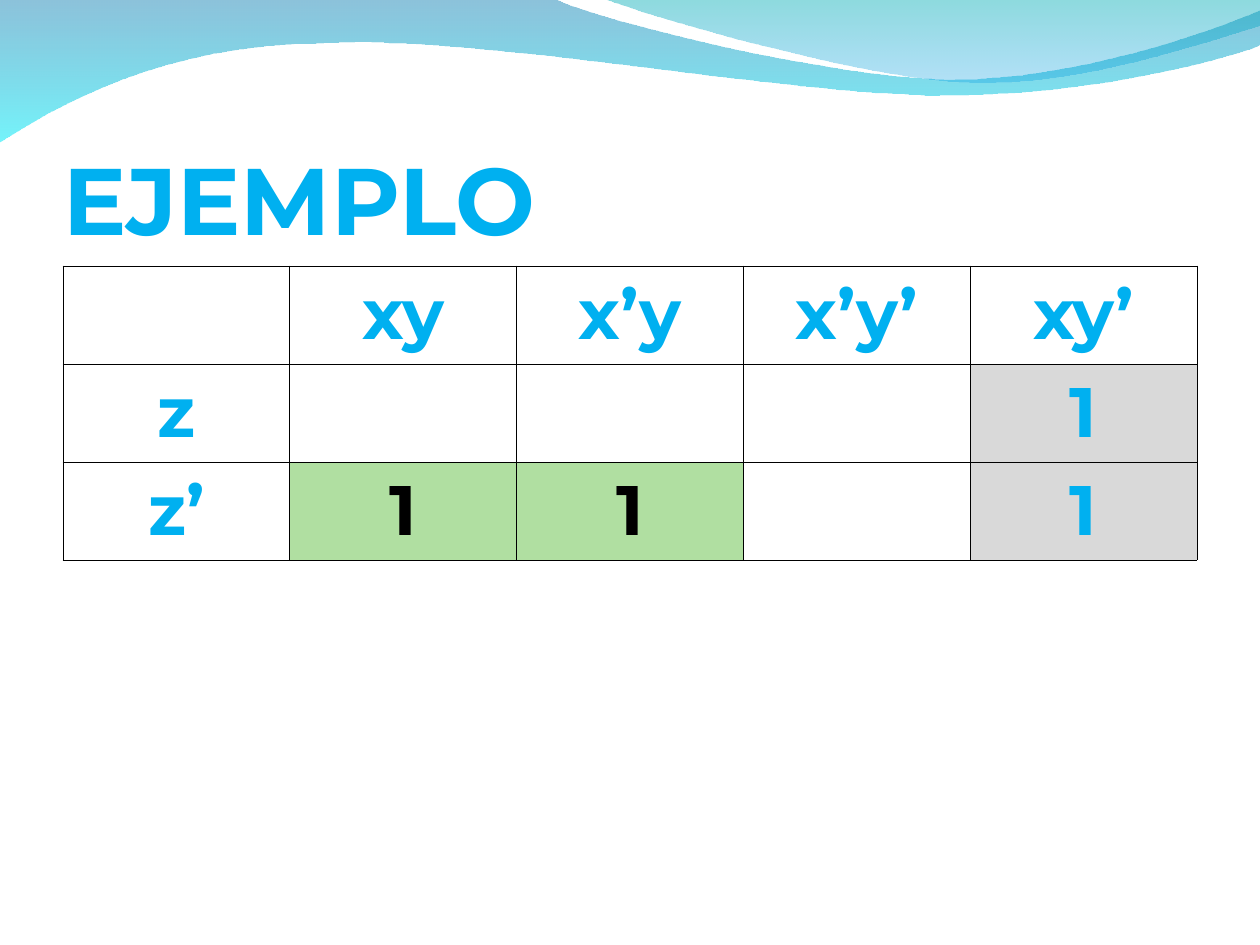
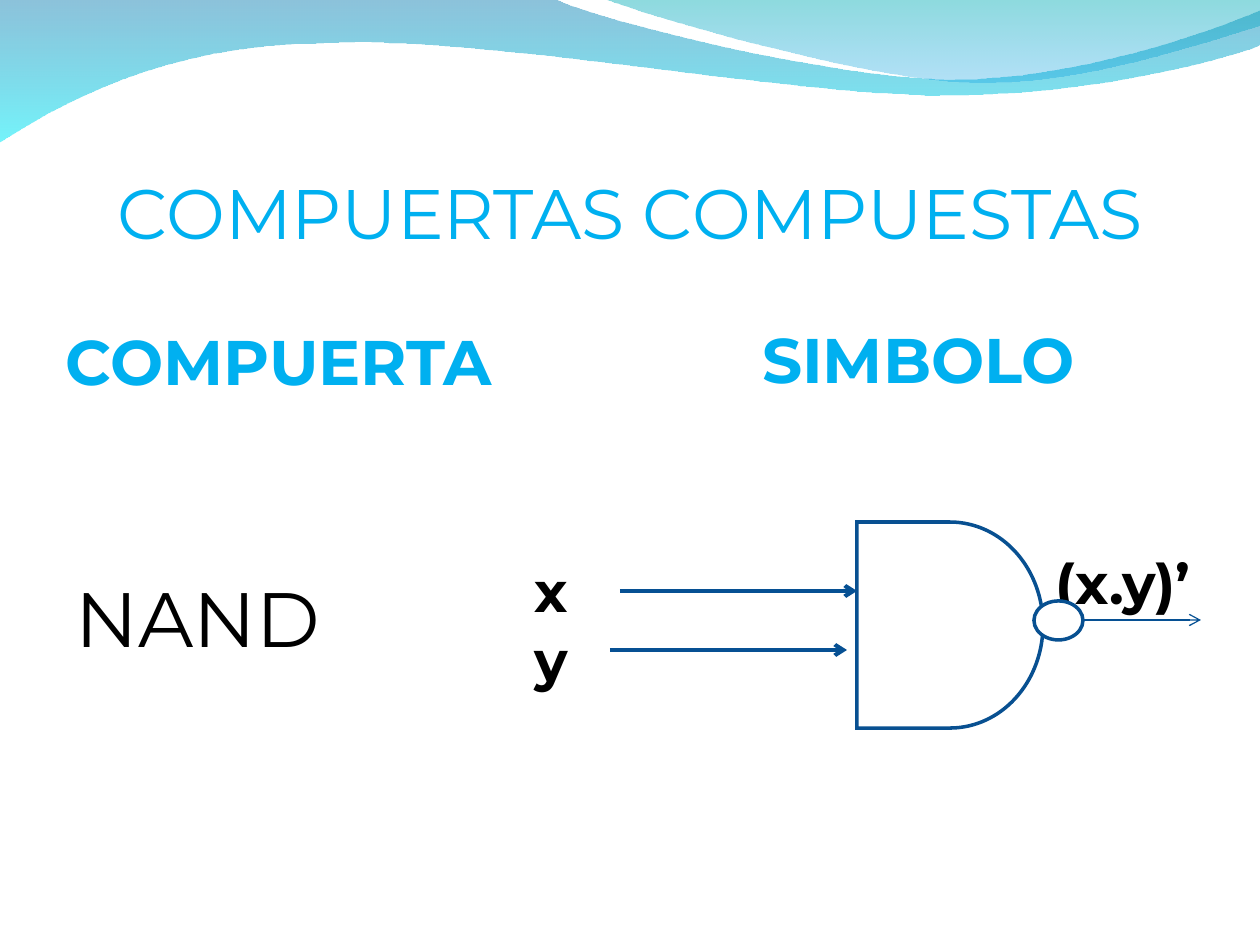
from collections import namedtuple

from lxml import etree
from pptx import Presentation
from pptx.dml.color import RGBColor
from pptx.enum.shapes import MSO_CONNECTOR, MSO_SHAPE
from pptx.enum.text import MSO_ANCHOR as Anchor, MSO_AUTO_SIZE, PP_ALIGN as Align
from pptx.oxml.ns import qn
from pptx.util import Emu, Pt

EMU_PER_PX = 914400 / 126
FONT = "Montserrat"
SKY = RGBColor(0x00, 0xB0, 0xF0)
BLACK = RGBColor(0x00, 0x00, 0x00)
WHITE = RGBColor(0xFF, 0xFF, 0xFF)
GRAY = RGBColor(0xD9, 0xD9, 0xD9)
GREEN = RGBColor(0xB0, 0xDF, 0xA1)
WIRE_BLUE = RGBColor(0x06, 0x50, 0x93)
GATE_BLUE = RGBColor(0x08, 0x50, 0x91)
WAVE_BLUE = RGBColor(0x00, 0x79, 0xAF)
WAVE_CYAN = RGBColor(0x00, 0xEB, 0xF8)
WAVE_TEAL = RGBColor(0x00, 0xAD, 0xB6)
WAVE_SKY = RGBColor(0x00, 0x9B, 0xE5)

Box = namedtuple("Box", "left top width height")
TITLE_BOX = Box(63, 97, 1134, 157)
TITLE_MARGINS = (0, 6, 0, 0)
HEADING_MARGINS = (6, 0, 6, 0)
LABEL_MARGINS = (13, 6, 13, 6)

WAVES = [
    (
        [
            [(0, -1)], [(554, -1)],
            [(600, 21), (837, 79), (955, 79)],
            [(1075, 79), (1207, 33), (1260, 11)],
            [(1261, 45)],
            [(1239, 55), (1096, 96), (940, 95)],
            [(784, 95), (481, 35), (324, 43)],
            [(163, 44), (58, 105), (-1, 142)],
        ],
        [(WAVE_BLUE, 45), (WAVE_CYAN, 55)],
    ),
    (
        [
            [(604, -1)],
            [(641, 14), (859, 78), (969, 82)],
            [(1079, 87), (1211, 40), (1260, 26)],
            [(1260, 0)],
        ],
        [(WAVE_TEAL, 45), (WAVE_SKY, 30)],
    ),
]


def px(length):
    return Emu(round(length * EMU_PER_PX))


def place(shape, box):
    shape.left, shape.top, shape.width, shape.height = map(px, box)


def write(frame, text, size=32, color=BLACK, bold=False, align=Align.LEFT,
          anchor=Anchor.TOP, margins=LABEL_MARGINS):
    frame.word_wrap = True
    frame.auto_size = MSO_AUTO_SIZE.NONE
    frame.vertical_anchor = anchor
    (frame.margin_left, frame.margin_top,
     frame.margin_right, frame.margin_bottom) = map(px, margins)
    format_paragraph(frame.paragraphs[0], text, size, color, bold, align)


def format_paragraph(paragraph, text, size, color, bold, align):
    paragraph.alignment = align
    paragraph.space_before = Pt(0)
    run = paragraph.add_run()
    run.text = text
    run.font.name = FONT
    run.font.size = Pt(size)
    run.font.bold = bold
    run.font.color.rgb = color


def build_curved_outline(slide, segments):
    start, *rest = [(px(x), px(y)) for segment in segments for x, y in segment]
    builder = slide.shapes.build_freeform(*start)
    builder.add_line_segments(rest, close=True)
    shape = builder.convert_to_shape()
    lines = iter(list(shape.element.iter(qn("a:lnTo"))))
    for segment in segments[1:]:
        first, *others = [next(lines) for _ in segment]
        if others:
            first.tag = qn("a:cubicBezTo")
        for line in others:
            first.append(line[0])
            line.getparent().remove(line)
    return shape


def add_waves(master, slide):
    for index, (segments, stops) in enumerate(WAVES):
        wave = build_curved_outline(slide, segments)
        wave.name = f"Wave {index + 1}"
        wave.shadow.inherit = False
        wave.line.fill.background()
        wave.fill.gradient()
        wave.fill.gradient_angle = 270
        for stop, element, (color, opacity) in zip(
                wave.fill.gradient_stops, wave.element.iter(qn("a:gs")), stops):
            stop.color.rgb = color
            etree.SubElement(element[0], qn("a:alpha"), val=str(opacity * 1000))
        wave.element.nvSpPr.cNvPr.set("id", str(20 + index))
        master.shapes.element.insert(2 + index, wave.element)


def add_title(slide, text, **style):
    title = slide.shapes.title
    place(title, TITLE_BOX)
    write(title.text_frame, text, color=SKY, anchor=Anchor.BOTTOM,
          margins=TITLE_MARGINS, **style)


def add_borders(cell):
    properties = cell._tc.get_or_add_tcPr()
    for side in ("lnL", "lnR", "lnT", "lnB"):
        line = etree.SubElement(properties, qn(f"a:{side}"), w="5715")
        fill = etree.SubElement(line, qn("a:solidFill"))
        etree.SubElement(fill, qn("a:srgbClr"), val=str(BLACK))


def add_karnaugh_map(slide, box):
    rows = [
        ["", "xy", "x’y", "x’y’", "xy’"],
        ["z", "", "", "", "1"],
        ["z’", "1", "1", "", "1"],
    ]
    groups = {(1, 4): GRAY, (2, 4): GRAY, (2, 1): GREEN, (2, 2): GREEN}
    table = slide.shapes.add_table(len(rows), len(rows[0]), *map(px, box)).table
    table.first_row = table.horz_banding = False
    for r, row in enumerate(rows):
        for c, text in enumerate(row):
            cell = table.cell(r, c)
            add_borders(cell)
            group = groups.get((r, c))
            if group:
                cell.fill.solid()
                cell.fill.fore_color.rgb = group
            else:
                cell.fill.background()
            if text:
                color = BLACK if group == GREEN else SKY
                format_paragraph(cell.text_frame.paragraphs[0], text, 40,
                                 color, True, Align.CENTER)


def add_arrow(slide, left, right, y, width):
    arrow = slide.shapes.add_connector(
        MSO_CONNECTOR.STRAIGHT, px(left), px(y), px(right), px(y))
    arrow.line.color.rgb = WIRE_BLUE
    arrow.line.width = Pt(width)
    etree.SubElement(arrow.line._get_or_add_ln(), qn("a:tailEnd"), type="arrow")
    etree.SubElement(arrow.element.spPr, qn("a:effectLst"))


def add_gate_part(slide, kind, box):
    part = slide.shapes.add_shape(kind, *map(px, box))
    part.shadow.inherit = False
    part.fill.solid()
    part.fill.fore_color.rgb = WHITE
    part.line.color.rgb = GATE_BLUE
    part.line.width = Pt(2)
    etree.SubElement(part.line._get_or_add_ln(), qn("a:miter"), lim="800000")


def add_nand_symbol(slide, left, top):
    wires = [(98, 335, 69, 2.25), (88, 325, 128, 2.25), (511, 679, 98, 0.75)]
    for start, end, y, width in wires:
        add_arrow(slide, left + start, left + end, top + y, width)
    labels = [("x", -1, 29, 168), ("y", -1, 98, 168), ("(x.y)’", 521, 20, 217)]
    for text, x, y, width in labels:
        box = Box(left + x, top + y, width, 81)
        label = slide.shapes.add_textbox(*map(px, box))
        write(label.text_frame, text, bold=True)
    add_gate_part(slide, MSO_SHAPE.FLOWCHART_DELAY,
                  Box(left + 335, top, 186, 206))
    add_gate_part(slide, MSO_SHAPE.FLOWCHART_CONNECTOR,
                  Box(left + 512, top + 79, 49, 39))


def add_heading(placeholder, text, box):
    place(placeholder, box)
    write(placeholder.text_frame, text, size=36, color=SKY, bold=True,
          align=Align.CENTER, anchor=Anchor.MIDDLE, margins=HEADING_MARGINS)


def add_gate_name(placeholder, text, box):
    place(placeholder, box)
    write(placeholder.text_frame, text, size=44, margins=(13, 224, 13, 6))
    properties = placeholder.text_frame.paragraphs[0]._p.get_or_add_pPr()
    properties.set("marL", "0")
    properties.set("indent", "0")
    etree.SubElement(properties, qn("a:buNone"))


def build_example_slide(presentation):
    slide = presentation.slides.add_slide(presentation.slide_layouts[5])
    add_title(slide, "EJEMPLO", size=54, bold=True)
    add_karnaugh_map(slide, Box(63, 266, 1134, 294))
    return slide


def build_gate_slide(presentation):
    slide = presentation.slides.add_slide(presentation.slide_layouts[4])
    add_title(slide, "COMPUERTAS COMPUESTAS", size=40, align=Align.CENTER)
    parts = {part.placeholder_format.idx: part for part in slide.placeholders}
    add_heading(parts[1], "COMPUERTA", Box(0, 315, 557, 91))
    add_heading(parts[3], "SIMBOLO", Box(640, 313, 557, 91))
    add_gate_name(parts[2], "NAND", Box(63, 346, 557, 530))
    unused = parts[4].element
    unused.getparent().remove(unused)
    add_nand_symbol(slide, 522, 522)


def main():
    presentation = Presentation()
    presentation.slide_width, presentation.slide_height = px(1260), px(945)
    example = build_example_slide(presentation)
    add_waves(presentation.slide_master, example)
    build_gate_slide(presentation)
    presentation.save("out.pptx")


if __name__ == "__main__":
    main()
